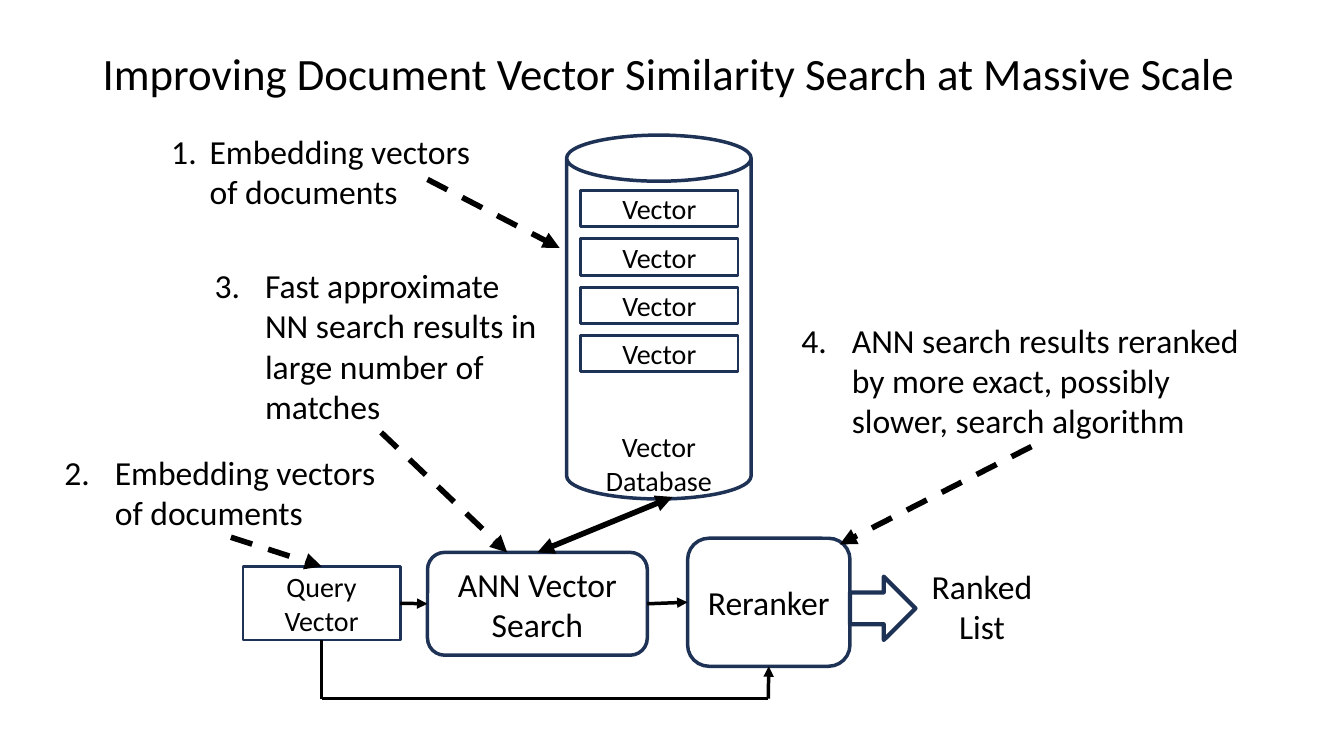
from lxml import etree
from pptx import Presentation
from pptx import util as u
from pptx.dml.color import RGBColor
from pptx.enum import dml, shapes, text
from pptx.oxml.ns import qn

NAVY, BLACK = "1E3256", "000000"
MSO = shapes.MSO_SHAPE
TOP, LEFT, BOTTOM, RIGHT = range(4)


def rgb(value):
    return RGBColor.from_string(value)


class Diagram:
    """Style and drawing methods for one slide."""

    font = "Calibri"

    def __init__(self, slide):
        self.s = slide

    def label(self, sp, content, size, align=text.PP_ALIGN.CENTER):
        tf = sp.text_frame
        tf.word_wrap = True
        tf.text = content
        p = tf.paragraphs[0]
        p.alignment = align
        r = p.runs[0]
        r.font.size, r.font.name = u.Pt(size), self.font
        r.font.color.rgb = rgb(BLACK)
        return p

    def textbox(self, box, content, size, align=text.PP_ALIGN.CENTER,
                anchor=text.MSO_ANCHOR.MIDDLE):
        sp = self.s.shapes.add_textbox(*map(u.Inches, box))
        p = self.label(sp, content, size, align)
        sp.text_frame.vertical_anchor = anchor
        return p

    def shape(self, kind, box, content="", size=20, width=2.0):
        sp = self.s.shapes.add_shape(kind, *map(u.Inches, box))
        sp.shadow.inherit = False
        sp.fill.background()
        if width:
            sp.line.color.rgb = rgb(NAVY)
            sp.line.width = u.Pt(width)
        else:
            sp.line.fill.background()
        if content:
            self.label(sp, content, size)
            sp.text_frame.vertical_anchor = text.MSO_ANCHOR.MIDDLE
        return sp

    def note(self, number, box, content, indent=0.5):
        p = self.textbox(box, content, 24, text.PP_ALIGN.LEFT, text.MSO_ANCHOR.TOP)
        pPr = p._p.get_or_add_pPr()
        pPr.set("marL", str(u.Inches(indent)))
        pPr.set("indent", str(-u.Inches(indent)))
        bullet = etree.SubElement(pPr, qn("a:buAutoNum"), type="arabicPeriod")
        if number > 1:
            bullet.set("startAt", str(number))

    def line(self, start, end, width=2.5, begin=None, finish=None,
             dashed=False, head=False, tail=True):
        c = self.s.shapes.add_connector(
            shapes.MSO_CONNECTOR.STRAIGHT, *map(u.Inches, start + end))
        if begin:
            c.begin_connect(*begin)
        if finish:
            c.end_connect(*finish)
        c.line.color.rgb = rgb(BLACK)
        c.line.width = u.Pt(width)
        if dashed:
            c.line.dash_style = dml.MSO_LINE.DASH
        ln = c._element.spPr.find(qn("a:ln"))
        for tag, wanted in (("a:headEnd", head), ("a:tailEnd", tail)):
            if wanted:
                etree.SubElement(ln, qn(tag), type="triangle")
        etree.SubElement(c._element.spPr, qn("a:effectLst"))


def main():
    prs = Presentation()
    prs.slide_width, prs.slide_height = u.Inches(13.33), u.Inches(7.5)
    d = Diagram(prs.slides.add_slide(prs.slide_layouts[6]))

    # Title
    p = d.textbox((0.92, 0.24, 11.5, 1.02),
                  "Improving Document Vector Similarity Search at Massive Scale",
                  32, text.PP_ALIGN.LEFT)
    p.line_spacing = 0.9

    # Vector database
    d.shape(MSO.CAN, (5.62, 1.34, 1.83, 3.61), width=2.5)
    for i in range(4):
        d.shape(MSO.RECTANGLE, (5.76, 1.89 + 0.48 * i, 1.56, 0.36), "Vector")
    d.textbox((5.62, 4.45, 1.83, 0.29), "Vector Database", 20)

    # Search pipeline
    query = d.shape(MSO.RECTANGLE, (2.41, 5.62, 1.56, 0.73), "Query Vector")
    search = d.shape(MSO.ROUNDED_RECTANGLE, (4.24, 5.48, 2.18, 1.02),
                     "ANN Vector Search", 24, 2.5)
    reranker = d.shape(MSO.ROUNDED_RECTANGLE, (6.82, 5.34, 1.61, 1.27),
                       "Reranker", 24, 2.5)
    d.shape(MSO.RIGHT_ARROW, (8.43, 5.72, 0.65, 0.63), width=3)
    d.shape(MSO.ROUNDED_RECTANGLE, (9.02, 5.38, 1.44, 1.27), "Ranked List", 24, 0)

    # Data flow
    d.line((3.97, 5.99), (4.24, 5.99), begin=(query, RIGHT), finish=(search, LEFT))
    d.line((6.42, 5.99), (6.82, 5.98), begin=(search, RIGHT), finish=(reranker, LEFT))
    d.line((6.67, 4.93), (5.33, 5.48), 4, finish=(search, TOP), head=True)

    # Query bypass to the reranker
    d.line((7.62, 6.93), (7.62, 6.61), finish=(reranker, BOTTOM))
    d.line((3.19, 6.93), (3.19, 6.35), finish=(query, BOTTOM), tail=False)
    d.line((3.19, 6.93), (7.62, 6.93), tail=False)

    # Numbered notes
    d.note(1, (1.6, 1.25, 3.49, 0.91), "Embedding vectors of documents", 0.38)
    d.note(2, (0.54, 4.43, 3.49, 0.91), "Embedding vectors of documents")
    d.note(3, (2.03, 2.58, 3.49, 1.72),
           "Fast approximate NN search results in large number of matches")
    d.note(4, (7.85, 3.12, 4.75, 1.31),
           "ANN search results reranked by more exact, possibly slower, search algorithm")

    # Dashed pointers from the notes
    for start, end, finish in (
        ((4.24, 1.78), (5.55, 2.46), None),
        ((2.29, 5.33), (3.19, 5.62), (query, TOP)),
        ((3.78, 4.29), (5.03, 5.48), None),
        ((10.23, 4.43), (8.33, 5.4), None),
    ):
        d.line(start, end, 4, finish=finish, dashed=True)

    prs.save("out.pptx")


if __name__ == "__main__":
    main()
